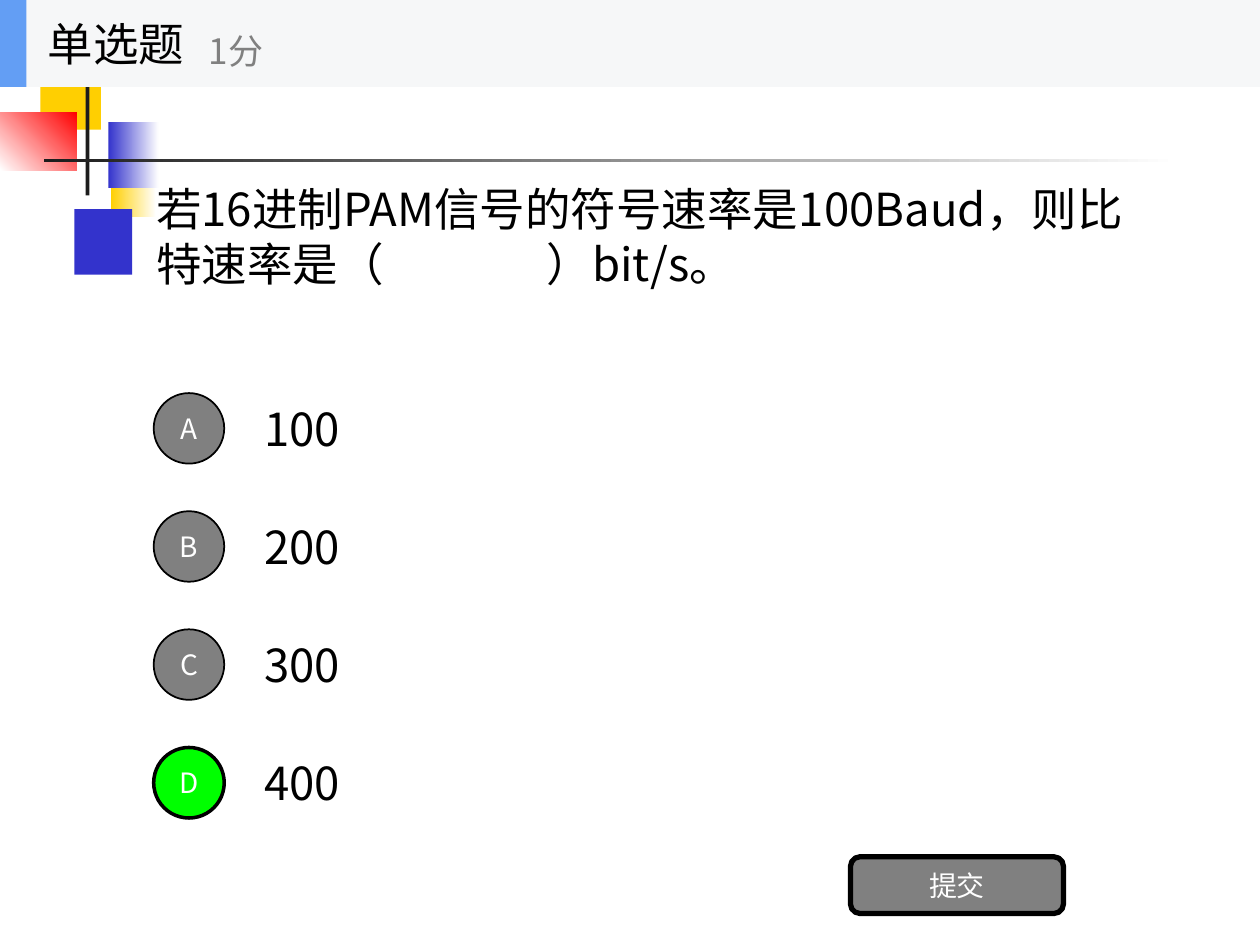
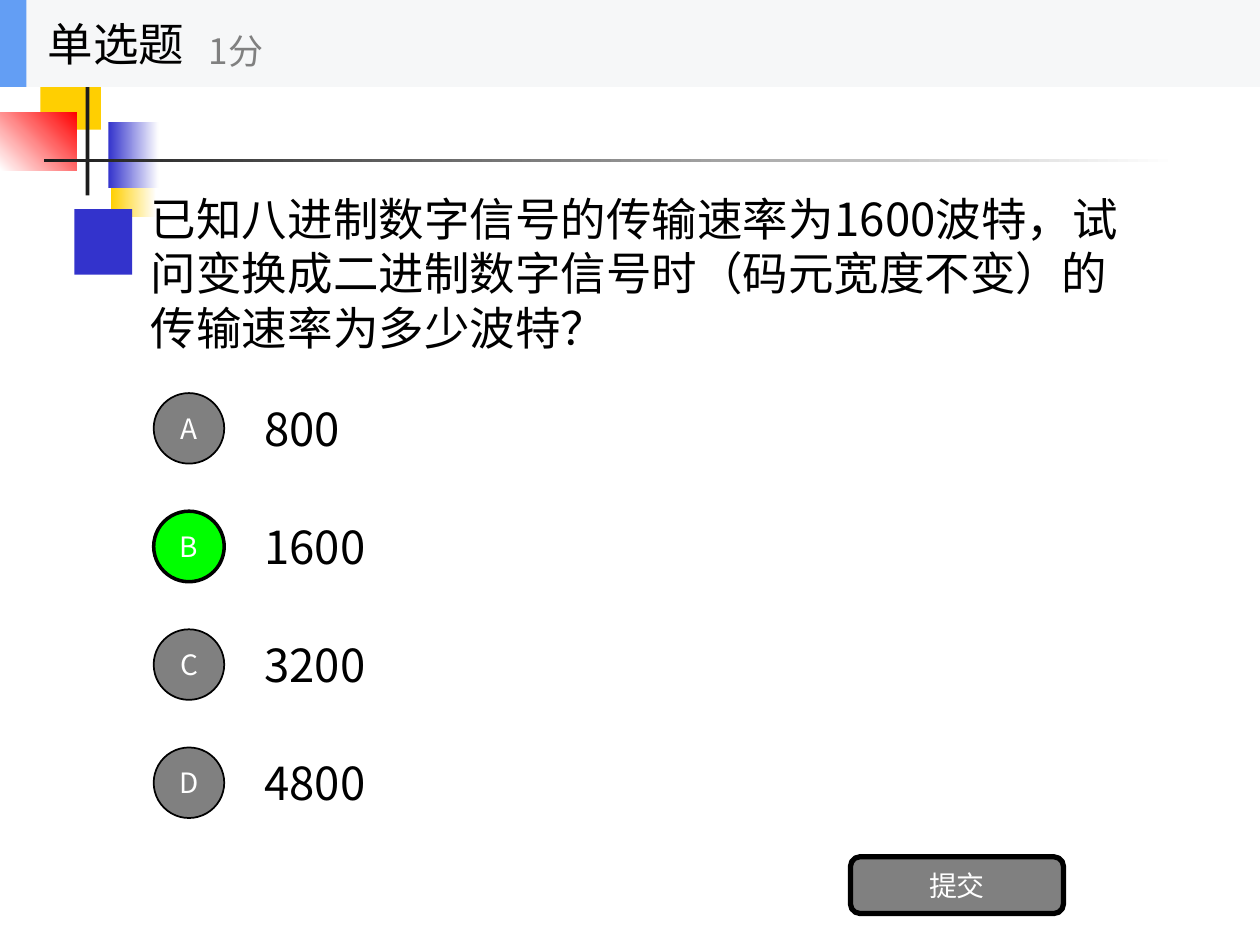
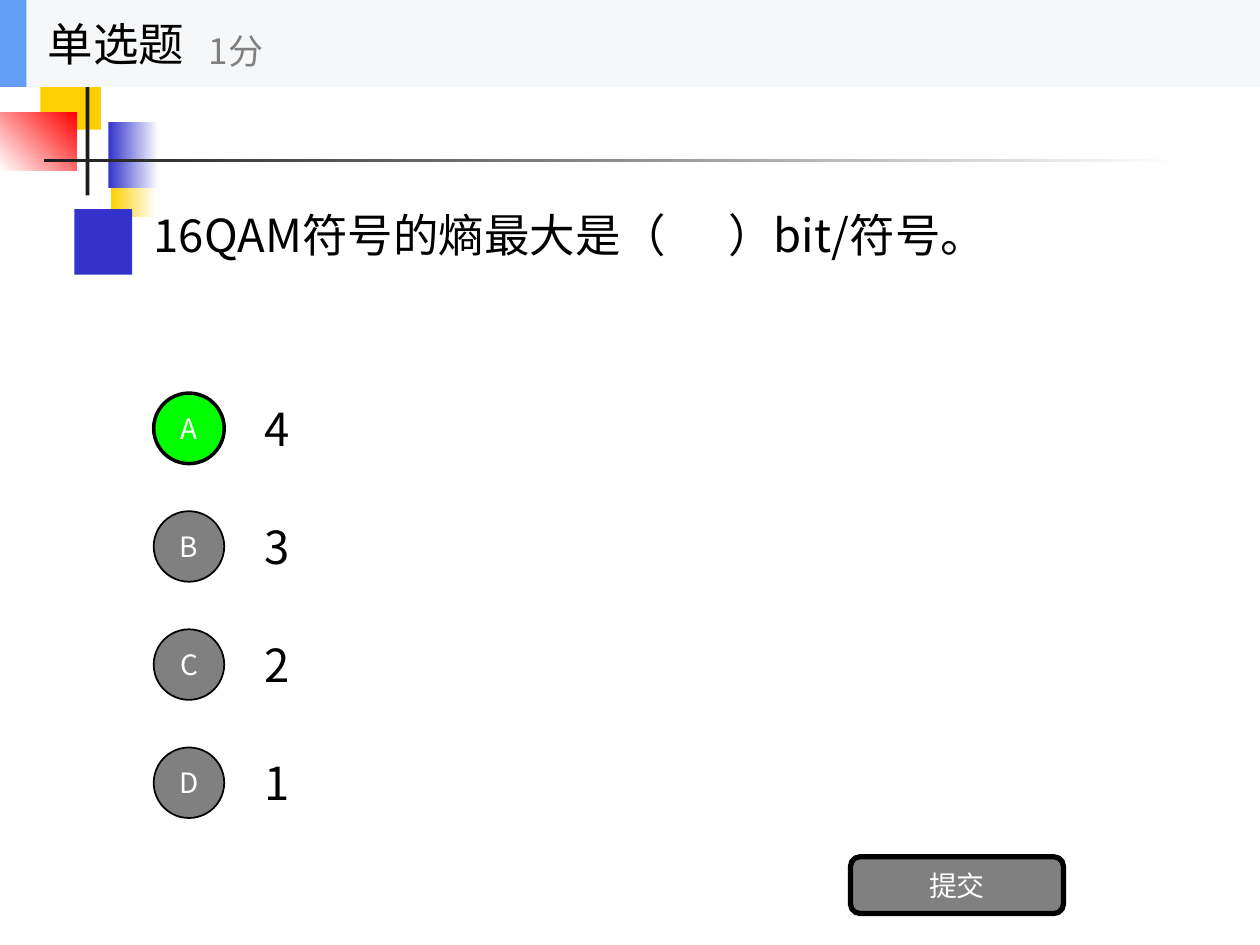
import pptx
import pptx.util
import pptx.dml.color
import pptx.enum.shapes
import pptx.enum.text
import pptx.oxml
import pptx.oxml.ns

# Content: question box is left, top, width, height; blank_end is where the answer gap closes
QUESTIONS = [
    {"text": "若16进制PAM信号的符号速率是100Baud，则比特速率是（\t）bit/s。",
     "box": (1.14, 0.7, 8, 2.34), "blank_end": 3.1,
     "options": ["100", "200", "300", "400"], "answer": "D"},
    {"text": "已知八进制数字信号的传输速率为1600波特，试问变换成二进制数字信号时"
             "（码元宽度不变）的传输速率为多少波特？",
     "box": (1.1, 1.28, 8, 1.77), "blank_end": None,
     "options": ["800", "1600", "3200", "4800"], "answer": "B"},
    {"text": "16QAM符号的熵最大是（\t）bit/符号。",
     "box": (1.12, 0.69, 7.88, 2.34), "blank_end": 4.56,
     "options": ["4", "3", "2", "1"], "answer": "A"},
]
HEADING, SCORE, SUBMIT = "单选题", "1分", "提交"
LETTERS = "ABCD"

# Shared style
FONT = "Noto Sans CJK SC"
COLORS = {
    "text": "000000", "white": "FFFFFF", "gray": "808080", "correct": "00FF00",
    "yellow": "FFCF01", "blue": "3333CC", "red": "FF0000", "dark": "1C1C1C",
    "band": "F6F7F8", "accent": "639EF4",
}
FORMATS = {
    "body": {"size": 26, "color": "text"},
    "score": {"size": 20, "color": "gray"},
    "label": {"size": 16, "color": "white"},
}
SHAPES = pptx.enum.shapes.MSO_SHAPE

# Corner ornament: box, then a plain colour or (start, end, angle)
ORNAMENTS = [
    ((0.88, 1.2, 0.36, 0.52), ("yellow", "white", 0)),
    ((0.59, 1.66, 0.46, 0.52), "blue"),
    ((0.32, 0.51, 0.48, 0.52), "yellow"),
    ((0.86, 0.97, 0.4, 0.52), ("blue", "white", 0)),
    ((0, 0.89, 0.61, 0.46), ("white", "red", 45)),
    ((0.68, 0.4, 0.03, 1.15), "dark"),
    ((0.35, 1.26, 9, 0.03), ("dark", "white", 0)),
]

# Layout
WIDTH, HEIGHT = 10, 7.5
BAND_HEIGHT = 0.69
OPTION_TOP, OPTION_PITCH, OPTION_HEIGHT = 3.05, HEIGHT / 8, 0.7
OPTION_LEFT, OPTION_WIDTH = WIDTH * 0.2, WIDTH * 0.7
CIRCLE_LEFT, CIRCLE_SIZE = 1.22, 0.56


def rgb(name):
    return pptx.dml.color.RGBColor.from_string(COLORS[name])


def inches(box):
    return [pptx.util.Inches(value) for value in box]


def write(shape, text, style, centered=False, tab=None):
    frame = shape.text_frame
    frame.word_wrap = True
    frame.vertical_anchor = pptx.enum.text.MSO_ANCHOR.MIDDLE
    paragraph = frame.paragraphs[0]
    align = pptx.enum.text.PP_ALIGN
    paragraph.alignment = align.CENTER if centered else align.LEFT
    if tab is not None:
        stops = pptx.oxml.parse_xml(
            f'<a:tabLst {pptx.oxml.ns.nsdecls("a")}>'
            f'<a:tab pos="{pptx.util.Inches(tab)}" algn="l"/></a:tabLst>')
        paragraph._p.get_or_add_pPr().append(stops)
    run = paragraph.add_run()
    run.text = text
    settings = {"name": FONT, "size": pptx.util.Pt(FORMATS[style]["size"])}
    for attribute, value in settings.items():
        setattr(run.font, attribute, value)
    run.font.color.rgb = rgb(FORMATS[style]["color"])
    run._r.get_or_add_rPr().append(pptx.oxml.parse_xml(
        f'<a:ea {pptx.oxml.ns.nsdecls("a")} typeface="{FONT}"/>'))


def add_text(slide, box, text, style, tab=None):
    write(slide.shapes.add_textbox(*inches(box)), text, style, tab=tab)


def add_block(slide, box, fill, kind=SHAPES.RECTANGLE, line=None, label=None):
    shape = slide.shapes.add_shape(kind, *inches(box))
    shape.shadow.inherit = False
    if isinstance(fill, tuple):
        *stops, angle = fill
        shape.fill.gradient()
        shape.fill.gradient_angle = angle
        for stop, name in zip(shape.fill.gradient_stops, stops):
            stop.color.rgb = rgb(name)
    else:
        shape.fill.solid()
        shape.fill.fore_color.rgb = rgb(fill)
    if line is None:
        shape.line.fill.background()
    else:
        shape.line.color.rgb = rgb("text")
        shape.line.width = pptx.util.Pt(line)
    if label:
        for side in ("left", "top", "right", "bottom"):
            setattr(shape.text_frame, f"margin_{side}", 0)
        write(shape, label, "label", centered=True)


def add_header(slide):
    add_block(slide, (0, 0, WIDTH, BAND_HEIGHT), "band")
    add_block(slide, (0, 0, 0.21, BAND_HEIGHT), "accent")
    add_text(slide, (0.28, 0, 2.08, BAND_HEIGHT), HEADING, "body")
    add_text(slide, (1.56, 0.12, 2.5, 0.56), SCORE, "score")


def add_options(slide, question):
    inset = (OPTION_HEIGHT - CIRCLE_SIZE) / 2
    for row, (letter, option) in enumerate(zip(LETTERS, question["options"])):
        top = OPTION_TOP + row * OPTION_PITCH
        add_text(slide, (OPTION_LEFT, top, OPTION_WIDTH, OPTION_HEIGHT), option, "body")
        fill, line = ("correct", 2) if letter == question["answer"] else ("gray", 1)
        add_block(slide, (CIRCLE_LEFT, top + inset, CIRCLE_SIZE, CIRCLE_SIZE),
                  fill, SHAPES.OVAL, line, letter)


def add_question(presentation, question):
    slide = presentation.slides.add_slide(presentation.slide_layouts[6])
    for box, fill in ORNAMENTS:
        add_block(slide, box, fill)
    add_text(slide, question["box"], question["text"], "body", question["blank_end"])
    add_options(slide, question)
    add_block(slide, (6.75, 6.8, 1.69, 0.45), "gray", SHAPES.ROUNDED_RECTANGLE, 3, SUBMIT)
    add_header(slide)


def main():
    presentation = pptx.Presentation()
    presentation.slide_width, presentation.slide_height = inches((WIDTH, HEIGHT))
    for question in QUESTIONS:
        add_question(presentation, question)
    presentation.save("out.pptx")


if __name__ == "__main__":
    main()
